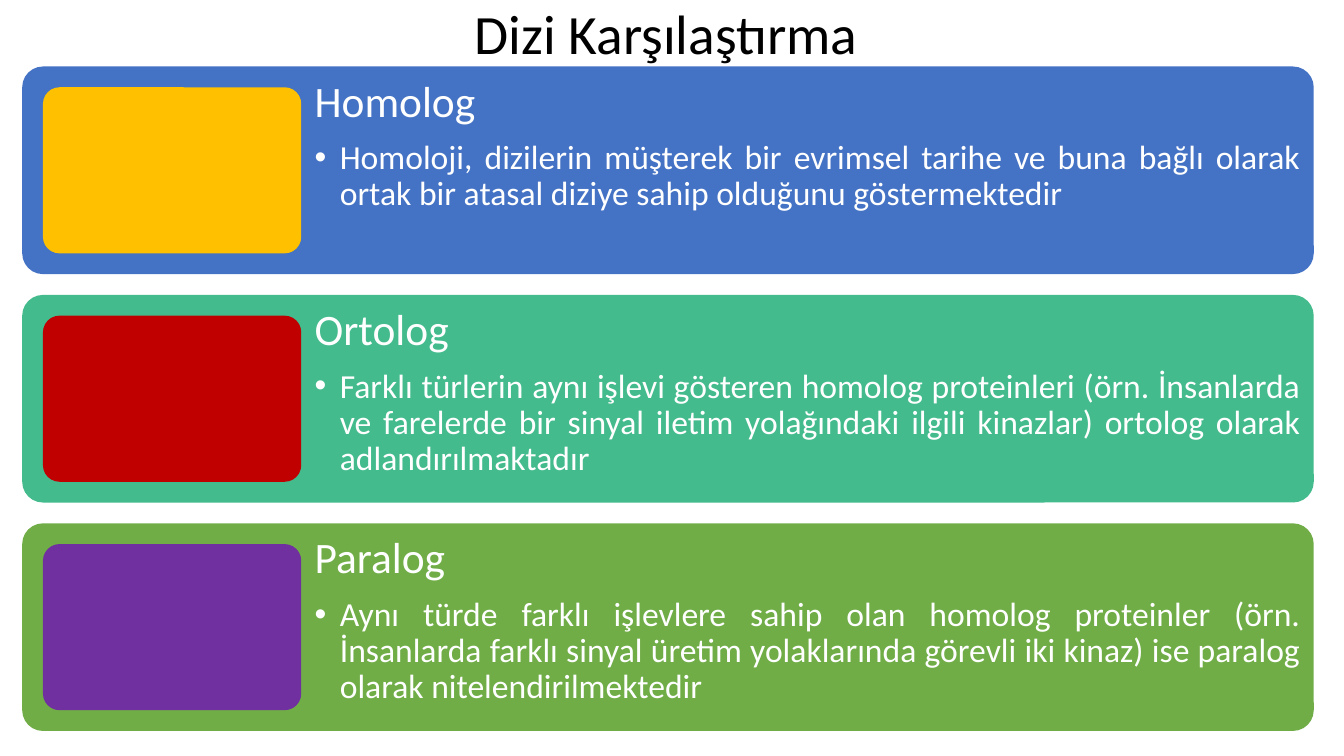
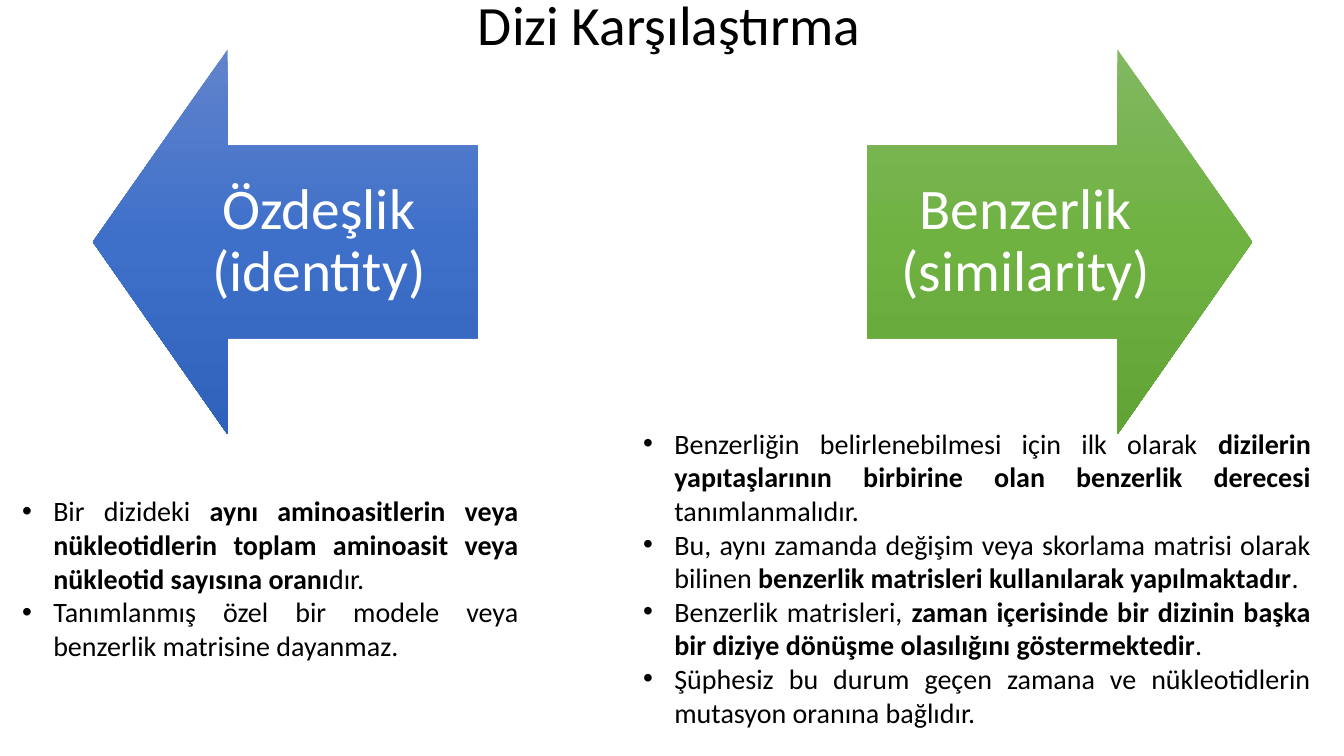
from copy import deepcopy
from dataclasses import dataclass

from lxml.etree import SubElement
from pptx import Presentation
from pptx.dml.color import RGBColor
from pptx.enum.shapes import MSO_SHAPE as Preset
from pptx.enum.text import MSO_ANCHOR as Anchor, MSO_AUTO_SIZE as AutoSize, PP_ALIGN as Align
from pptx.oxml.ns import qn
from pptx.util import Inches, Pt

FONT = "Calibri"
WHITE = RGBColor(0xFF, 0xFF, 0xFF)
BLACK = RGBColor(0, 0, 0)
BLUE = RGBColor(0x44, 0x72, 0xC4)
TEAL = RGBColor(0x43, 0xBB, 0x8D)
GREEN = RGBColor(0x70, 0xAD, 0x47)
AMBER = RGBColor(0xFF, 0xC0, 0x00)
RED = RGBColor(0xC0, 0x00, 0x00)
PURPLE = RGBColor(0x70, 0x30, 0xA0)
BLUE_SHADES = (RGBColor(0x61, 0x83, 0xCB), RGBColor(0x3E, 0x70, 0xCA), RGBColor(0x30, 0x62, 0xBB))
GREEN_SHADES = (RGBColor(0x81, 0xB8, 0x61), RGBColor(0x6F, 0xB2, 0x42), RGBColor(0x62, 0xA3, 0x36))

TITLE = "Dizi Karşılaştırma"
TITLE_ONLY = 5

PANEL_LEFT, PANEL_TOP, PANEL_WIDTH, PANEL_HEIGHT = 0.22, 0.66, 12.81, 2.06
PANEL_PITCH = PANEL_HEIGHT * 1.1
TILE_MARGIN = PANEL_HEIGHT / 10
TILE_WIDTH = PANEL_WIDTH / 5
ARROW_TOP, ARROW_SIZE = 0.49, 3.82


@dataclass(frozen=True)
class Panel:
    heading: str
    text: str
    fill: RGBColor
    tile_fill: RGBColor


@dataclass(frozen=True)
class Arrow:
    text: str
    preset: Preset
    left: float
    shades: tuple[RGBColor, ...]


@dataclass(frozen=True)
class BulletBox:
    """Bullet texts in a box; double asterisks enclose bold words."""
    left: float
    top: float
    width: float
    height: float
    bullets: tuple[str, ...]


PANELS = (
    Panel("Homolog", "Homoloji, dizilerin müşterek bir evrimsel tarihe ve buna bağlı olarak "
          "ortak bir atasal diziye sahip olduğunu göstermektedir", BLUE, AMBER),
    Panel("Ortolog", "Farklı türlerin aynı işlevi gösteren homolog proteinleri (örn. İnsanlarda "
          "ve farelerde bir sinyal iletim yolağındaki ilgili kinazlar) ortolog olarak "
          "adlandırılmaktadır", TEAL, RED),
    Panel("Paralog", "Aynı türde farklı işlevlere sahip olan homolog proteinler (örn. "
          "İnsanlarda farklı sinyal üretim yolaklarında görevli iki kinaz) ise paralog "
          "olarak nitelendirilmektedir", GREEN, PURPLE),
)
ARROWS = (
    Arrow("Özdeşlik (identity)", Preset.LEFT_ARROW, 0.92, BLUE_SHADES),
    Arrow("Benzerlik (similarity)", Preset.RIGHT_ARROW, 8.6, GREEN_SHADES),
)
BULLET_BOXES = (
    BulletBox(0.12, 4.85, 5.12, 1.78, (
        "Bir dizideki **aynı aminoasitlerin veya nükleotidlerin toplam aminoasit veya "
        "nükleotid sayısına oranı**dır.",
        "Tanımlanmış özel bir modele veya benzerlik matrisine dayanmaz.",
    )),
    BulletBox(6.28, 4.18, 6.82, 3.13, (
        "Benzerliğin belirlenebilmesi için ilk olarak **dizilerin yapıtaşlarının birbirine "
        "olan benzerlik derecesi** tanımlanmalıdır.",
        "Bu, aynı zamanda değişim veya skorlama matrisi olarak bilinen **benzerlik "
        "matrisleri kullanılarak yapılmaktadır**.",
        "Benzerlik matrisleri, **zaman içerisinde bir dizinin başka bir diziye dönüşme "
        "olasılığını göstermektedir**.",
        "Şüphesiz bu durum geçen zamana ve nükleotidlerin mutasyon oranına bağlıdır.",
    )),
)


def set_attributes(target, values: dict) -> None:
    for name, value in values.items():
        setattr(target, name, value)


def set_frame(frame, anchor: Anchor, **margins: float) -> None:
    set_attributes(frame, {"word_wrap": True, "auto_size": AutoSize.NONE, "vertical_anchor": anchor})
    set_attributes(frame, {f"margin_{side}": Inches(size) for side, size in margins.items()})


def write_paragraph(paragraph, text: str, size: float, color: RGBColor, align: Align,
                    spacing: float = 0.9, after: float = 0, indent: float = 0) -> None:
    """Write text whose ** pairs enclose bold words; a positive indent adds a bullet."""
    set_attributes(paragraph, {"alignment": align, "line_spacing": spacing,
                               "space_before": Pt(0), "space_after": Pt(after)})
    for index, part in enumerate(text.split("**")):
        run = paragraph.add_run()
        run.text = part
        set_attributes(run.font, {"name": FONT, "size": Pt(size), "bold": index % 2 == 1})
        run.font.color.rgb = color
    if indent:
        properties = paragraph._p.get_or_add_pPr()
        properties.set("marL", str(Inches(indent)))
        properties.set("indent", str(-Inches(indent)))
        SubElement(properties, qn("a:buFont")).set("typeface", "Arial")
        SubElement(properties, qn("a:buChar")).set("char", "•")


def add_titled_slide(presentation, left: float, width: float, height: float):
    slide = presentation.slides.add_slide(presentation.slide_layouts[TITLE_ONLY])
    title = slide.shapes.title
    set_attributes(title, {"left": Inches(left), "top": Inches(0.06),
                           "width": Inches(width), "height": Inches(height)})
    set_frame(title.text_frame, Anchor.MIDDLE, left=0.1, right=0.1, top=0.05, bottom=0.05)
    write_paragraph(title.text_frame.paragraphs[0], TITLE, 39.6, BLACK, Align.LEFT)
    return slide


def add_plain_shape(slide, preset: Preset, left: float, top: float, width: float, height: float,
                    adjustments: tuple[float, ...]):
    shape = slide.shapes.add_shape(preset, Inches(left), Inches(top), Inches(width), Inches(height))
    shape.shadow.inherit = False
    shape.line.fill.background()
    for index, value in enumerate(adjustments):
        shape.adjustments[index] = value
    return shape


def add_round_box(slide, left: float, top: float, width: float, height: float, color: RGBColor):
    box = add_plain_shape(slide, Preset.ROUNDED_RECTANGLE, left, top, width, height, (0.1,))
    box.fill.solid()
    box.fill.fore_color.rgb = color
    return box


def add_panel(slide, panel: Panel, top: float) -> None:
    box = add_round_box(slide, PANEL_LEFT, top, PANEL_WIDTH, PANEL_HEIGHT, panel.fill)
    frame = box.text_frame
    set_frame(frame, Anchor.TOP, left=2.84, right=0.07, top=0.07, bottom=0.07)
    write_paragraph(frame.paragraphs[0], panel.heading, 31, WHITE, Align.JUSTIFY, after=10)
    write_paragraph(frame.add_paragraph(), panel.text, 24, WHITE, Align.JUSTIFY, indent=0.25)
    add_round_box(slide, PANEL_LEFT + TILE_MARGIN, top + TILE_MARGIN, TILE_WIDTH,
                  PANEL_HEIGHT - 2 * TILE_MARGIN, panel.tile_fill)


def fill_downwards(shape, shades: tuple[RGBColor, ...]) -> None:
    """Fill with evenly spaced shades from top to bottom."""
    shape.fill.gradient()
    shape.fill.gradient_angle = 270
    stop_list = shape._element.spPr.find(".//" + qn("a:gsLst"))
    while len(stop_list) < len(shades):
        stop_list.append(deepcopy(stop_list[0]))
    for index, (stop, shade) in enumerate(zip(shape.fill.gradient_stops, shades)):
        stop.position = index / (len(shades) - 1)
        stop.color.rgb = shade


def add_arrow(slide, arrow: Arrow) -> None:
    shape = add_plain_shape(slide, arrow.preset, arrow.left, ARROW_TOP, ARROW_SIZE, ARROW_SIZE,
                            (0.5, 0.35))
    fill_downwards(shape, arrow.shades)
    set_frame(shape.text_frame, Anchor.MIDDLE, left=0.32, right=0.32, top=0.32, bottom=0.32)
    write_paragraph(shape.text_frame.paragraphs[0], arrow.text, 41, WHITE, Align.CENTER)


def add_bullet_box(slide, box: BulletBox) -> None:
    frame = slide.shapes.add_textbox(Inches(box.left), Inches(box.top), Inches(box.width),
                                     Inches(box.height)).text_frame
    set_frame(frame, Anchor.TOP)
    for index, bullet in enumerate(box.bullets):
        paragraph = frame.add_paragraph() if index else frame.paragraphs[0]
        write_paragraph(paragraph, bullet, 20, BLACK, Align.JUSTIFY, spacing=1.0, indent=0.31)


def main() -> None:
    presentation = Presentation()
    presentation.slide_width, presentation.slide_height = Inches(13.33), Inches(7.5)

    homology_slide = add_titled_slide(presentation, 4.61, 4.11, 0.6)
    for index, panel in enumerate(PANELS):
        add_panel(homology_slide, panel, PANEL_TOP + index * PANEL_PITCH)

    similarity_slide = add_titled_slide(presentation, 4.64, 4.05, 0.42)
    for arrow in ARROWS:
        add_arrow(similarity_slide, arrow)
    for box in BULLET_BOXES:
        add_bullet_box(similarity_slide, box)

    presentation.save("out.pptx")


if __name__ == "__main__":
    main()
